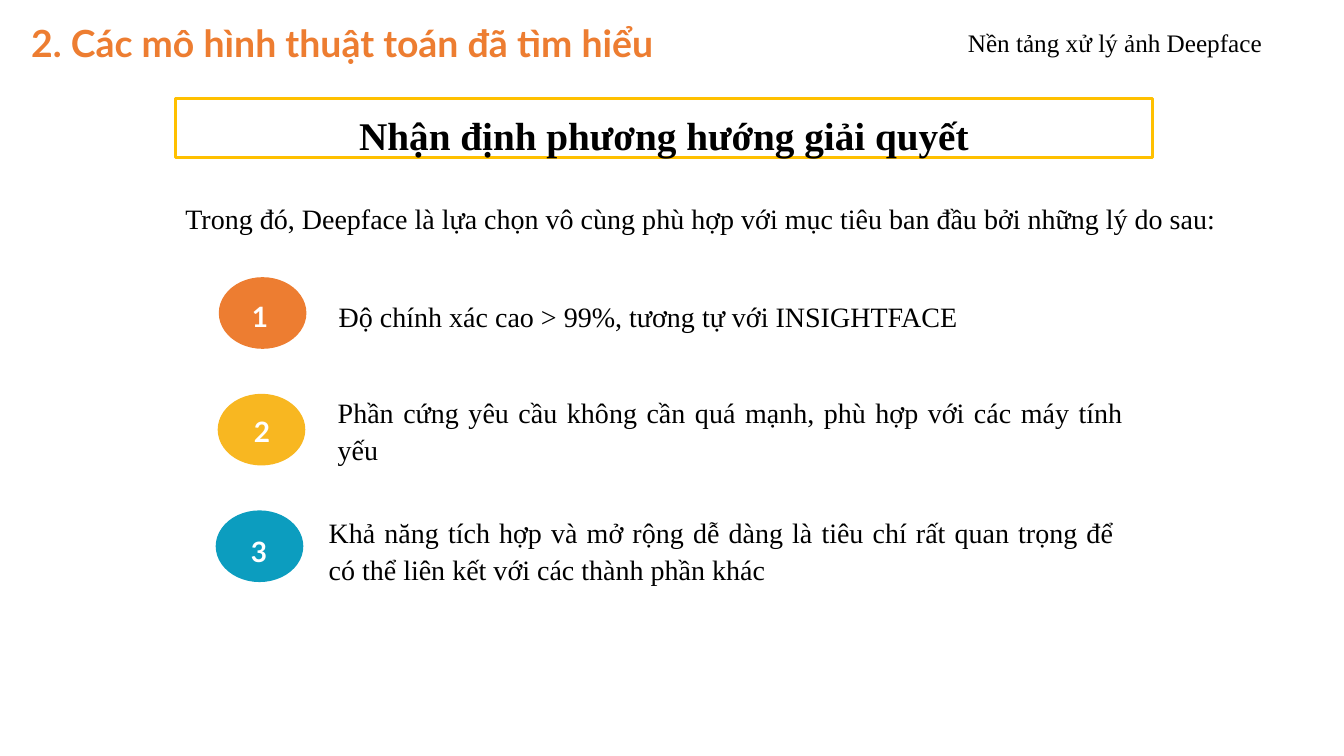
from pptx import Presentation
from pptx.dml.color import RGBColor
from pptx.enum.shapes import MSO_SHAPE as Shape
from pptx.enum.text import MSO_ANCHOR as Anchor, PP_ALIGN as Align
from pptx.util import Pt

COLORS = {"orange": "ED7D31", "amber": "F8B721", "teal": "0C9DBF",
          "gold": "FFC000", "white": "FFFFFF", "black": "000000"}
SERIF, SANS = "Times New Roman", "Lato"

HEADING = "2. Các mô hình thuật toán đã tìm hiểu"
TOPIC = "Nền tảng xử lý ảnh Deepface"
BANNER = "Nhận định phương hướng giải quyết"
INTRO = ("Trong đó, Deepface là lựa chọn vô cùng phù hợp với mục tiêu "
         "ban đầu bởi những lý do sau:")

# reason, badge colour, badge left, number (left, top), reason (left, top), top inset
REASONS = [
    ("Độ chính xác cao > 99%, tương tự với INSIGHTFACE",
     "orange", 156.3, (164.2, 207.4), (241.9, 193.7), 3),
    ("Phần cứng yêu cầu không cần quá mạnh, phù hợp với các máy tính yếu",
     "amber", 155.5, (165.6, 289.4), (241.2, 276.5), 0),
    ("Khả năng tích hợp và mở rộng dễ dàng là tiêu chí rất quan trọng để "
     "có thể liên kết với các thành phần khác",
     "teal", 154.1, (163.4, 375.1), (234.7, 362.2), 0),
]
BADGE_TOP, BADGE_PITCH = 198, 83.3
BADGE_SIZE, NUMBER_SIZE, REASON_SIZE = (62.6, 51.2), (43.2, 29.5), (560.9, 59.8)

deck = Presentation()
deck.slide_width, deck.slide_height = Pt(960), Pt(540)
slide = deck.slides.add_slide(deck.slide_layouts[6])


def rgb(name):
    return RGBColor.from_string(COLORS[name])


def add_panel(kind, box, fill, line=None):
    panel = slide.shapes.add_shape(kind, *map(Pt, box))
    panel.shadow.inherit = False
    panel.fill.solid()
    panel.fill.fore_color.rgb = rgb(fill)
    if line:
        panel.line.color.rgb = rgb(line)
        panel.line.width = Pt(2.25)
    else:
        panel.line.fill.background()
    return panel


def write(text, box=None, holder=None, size=20, font=SERIF, color="black", bold=False,
          align=Align.LEFT, anchor=Anchor.TOP, spacing=1.0, insets=(7.2, 3.6, 7.2, 3.6)):
    holder = holder or slide.shapes.add_textbox(*map(Pt, box))
    frame = holder.text_frame
    frame.word_wrap = True
    frame.vertical_anchor = anchor
    (frame.margin_left, frame.margin_top,
     frame.margin_right, frame.margin_bottom) = map(Pt, insets)
    line = frame.paragraphs[0]
    line.alignment = align
    line.line_spacing = spacing
    run = line.add_run()
    run.text = text
    run.font.size, run.font.name, run.font.bold = Pt(size), font, bold
    run.font.color.rgb = rgb(color)


# Header
write(HEADING, (22.3, 2.2, 478, 56.9), size=26.7, font=SANS, color="orange",
      bold=True, anchor=Anchor.MIDDLE, insets=(0, 0, 0, 0))
write(TOPIC, (267.8, 15.8, 640.8, 28.8), size=18, align=Align.RIGHT)

# Banner and introduction
banner = add_panel(Shape.RECTANGLE, (125.3, 70.6, 697.7, 41.8), "white", "gold")
write(BANNER, holder=banner, size=28, bold=True, align=Align.CENTER,
      spacing=1.1, insets=(7.2, 5.6, 7.2, 3.6))
write(INTRO, (125.3, 140.4, 759.6, 31.7))

# Numbered reasons
for i, (reason, color, left, number_at, reason_at, inset) in enumerate(REASONS):
    add_panel(Shape.OVAL, (left, BADGE_TOP + i * BADGE_PITCH, *BADGE_SIZE), color)
    write(str(i + 1), (*number_at, *NUMBER_SIZE), font=SANS, color="white", bold=True,
          align=Align.CENTER, anchor=Anchor.MIDDLE, spacing=1.3, insets=(0, 0, 0, 0))
    write(reason, (*reason_at, *REASON_SIZE), align=Align.JUSTIFY,
          anchor=Anchor.MIDDLE, spacing=1.1, insets=(0, inset, 0, 0))

deck.save("out.pptx")
